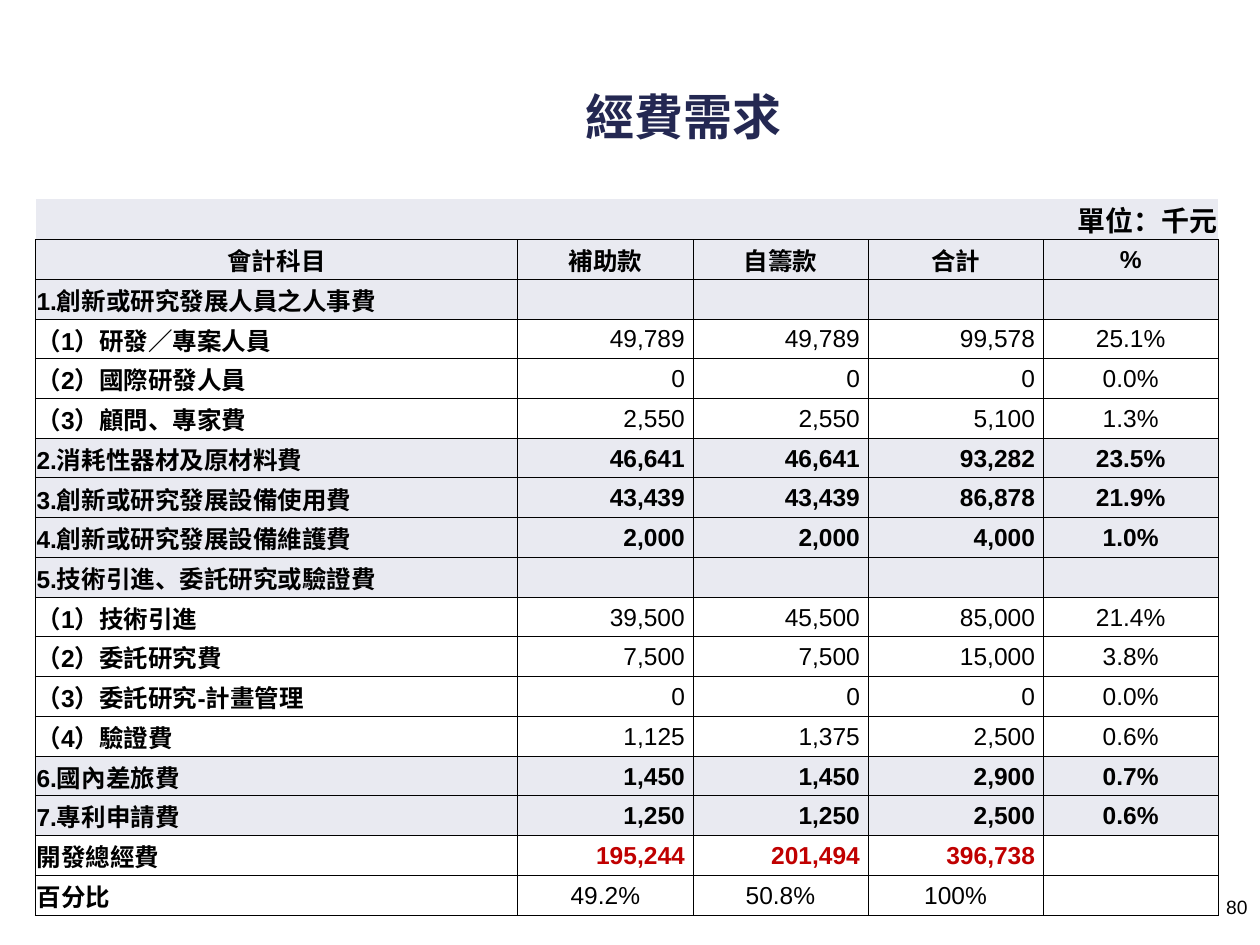
from pptx import Presentation
from pptx.dml.color import RGBColor
from pptx.enum.shapes import MSO_SHAPE
from pptx.enum.text import MSO_ANCHOR, PP_ALIGN
from pptx.oxml import parse_xml
from pptx.oxml.ns import nsdecls
from pptx.util import Inches, Pt

WHITE = RGBColor(0xFF, 0xFF, 0xFF)
BLACK = RGBColor(0x00, 0x00, 0x00)
NAVY = RGBColor(0x24, 0x28, 0x52)
RED = RGBColor(0xC0, 0x00, 0x00)
SHADE = RGBColor(0xE9, 0xEA, 0xF1)

UNIT = "單位：千元"
HEADER = ("會計科目", "補助款", "自籌款", "合計", "%")
BUDGET = (
    ("1.創新或研究發展人員之人事費", "", "", "", ""),
    ("（1）研發／專案人員", "49,789", "49,789", "99,578", "25.1%"),
    ("（2）國際研發人員", "0", "0", "0", "0.0%"),
    ("（3）顧問、專家費", "2,550", "2,550", "5,100", "1.3%"),
    ("2.消耗性器材及原材料費", "46,641", "46,641", "93,282", "23.5%"),
    ("3.創新或研究發展設備使用費", "43,439", "43,439", "86,878", "21.9%"),
    ("4.創新或研究發展設備維護費", "2,000", "2,000", "4,000", "1.0%"),
    ("5.技術引進、委託研究或驗證費", "", "", "", ""),
    ("（1）技術引進", "39,500", "45,500", "85,000", "21.4%"),
    ("（2）委託研究費", "7,500", "7,500", "15,000", "3.8%"),
    ("（3）委託研究-計畫管理", "0", "0", "0", "0.0%"),
    ("（4）驗證費", "1,125", "1,375", "2,500", "0.6%"),
    ("6.國內差旅費", "1,450", "1,450", "2,900", "0.7%"),
    ("7.專利申請費", "1,250", "1,250", "2,500", "0.6%"),
)
TOTAL = ("開發總經費", "195,244", "201,494", "396,738", "")
SHARES = ("百分比", "49.2%", "50.8%", "100%", "")


def write_text(frame, text, *, size=14, color=BLACK, bold=False, align=PP_ALIGN.LEFT):
    para = frame.paragraphs[0]
    para.alignment = align
    span = para.add_run()
    span.text = text
    span.font.name = "Arial"
    span.font.size = Pt(size)
    span.font.bold = bold
    span.font.color.rgb = color


def add_backdrop(page):
    backdrop = page.shapes.add_shape(
        MSO_SHAPE.RECTANGLE, 0, Inches(0.73), Inches(10), Inches(6.55))
    backdrop.shadow.inherit = False
    backdrop.fill.solid()
    backdrop.fill.fore_color.rgb = WHITE
    backdrop.line.fill.background()
    page.shapes.title._element.addprevious(backdrop._element)


def add_title(page, text):
    title = page.shapes.title
    title.left, title.top = Inches(1.35), Inches(0.61)
    title.width, title.height = Inches(8.15), Inches(0.62)
    title.text_frame.vertical_anchor = MSO_ANCHOR.MIDDLE
    write_text(title.text_frame, text, size=28, color=NAVY, bold=True,
               align=PP_ALIGN.CENTER)


def add_page_number(page, text):
    box = page.shapes.add_textbox(Inches(7.67), Inches(7.06), Inches(2.33), Inches(0.37))
    box.text_frame.word_wrap = True
    write_text(box.text_frame, text, size=11, align=PP_ALIGN.RIGHT)


def set_borders(cell, sides, color, width):
    properties = cell._tc.get_or_add_tcPr()
    for position, side in enumerate(sides):
        properties.insert(position, parse_xml(
            f'<a:ln{side} {nsdecls("a")} w="{Pt(width)}"><a:solidFill>'
            f'<a:srgbClr val="{color}"/></a:solidFill></a:ln{side}>'))


def format_cell(cell, shaded):
    cell.margin_left = cell.margin_right = cell.margin_top = Inches(0.01)
    cell.margin_bottom = 0
    cell.vertical_anchor = MSO_ANCHOR.MIDDLE
    if shaded:
        cell.fill.solid()
        cell.fill.fore_color.rgb = SHADE
    else:
        cell.fill.background()


def fill_row(cells, texts, *, shaded=False, bold=False, color=BLACK,
             aligns=(PP_ALIGN.LEFT,) + (PP_ALIGN.RIGHT,) * 3 + (PP_ALIGN.CENTER,)):
    for column, (cell, text, align) in enumerate(zip(cells, texts, aligns)):
        format_cell(cell, shaded)
        set_borders(cell, "LRTB", BLACK, 0.5)
        if text:
            is_label = column == 0
            padding = " " if align == PP_ALIGN.RIGHT else ""
            write_text(cell.text_frame, text + padding, bold=bold or is_label,
                       color=BLACK if is_label else color, align=align)


def add_budget_table(page):
    row_count = len(BUDGET) + 4
    table = page.shapes.add_table(
        row_count, len(HEADER), Inches(0.28), Inches(1.57),
        Inches(9.39), Inches(5.68)).table
    table.first_row = table.horz_banding = False
    for column, width in zip(table.columns, (3.83, 1.39, 1.39, 1.39, 1.39)):
        column.width = Inches(width)
    unit_row, header_row, *budget_rows, total_row, share_row = [
        [table.cell(row, column) for column in range(len(HEADER))]
        for row in range(row_count)]

    unit_row[0].merge(unit_row[-1])
    for cell in unit_row:
        format_cell(cell, True)
        set_borders(cell, "LRT", WHITE, 1)
        cell._tc.tcPr.insert(3, parse_xml(
            f'<a:lnB {nsdecls("a")} w="{Pt(0.5)}"><a:solidFill>'
            f'<a:srgbClr val="{BLACK}"/></a:solidFill></a:lnB>'))
    write_text(unit_row[0].text_frame, UNIT, size=16, bold=True, align=PP_ALIGN.RIGHT)

    centered = (PP_ALIGN.CENTER,) * len(HEADER)
    fill_row(header_row, HEADER, shaded=True, bold=True, aligns=centered)
    for cells, texts in zip(budget_rows, BUDGET):
        is_main = texts[0][0].isdigit()
        fill_row(cells, texts, shaded=is_main, bold=is_main)
    fill_row(total_row, TOTAL, bold=True, color=RED)
    fill_row(share_row, SHARES, aligns=(PP_ALIGN.LEFT,) + centered[1:])


def main():
    deck = Presentation()
    deck.slide_width, deck.slide_height = Inches(10), Inches(7.5)
    page = deck.slides.add_slide(deck.slide_layouts[5])
    add_backdrop(page)
    add_title(page, "經費需求")
    add_budget_table(page)
    add_page_number(page, "80")
    deck.save("out.pptx")


if __name__ == "__main__":
    main()
